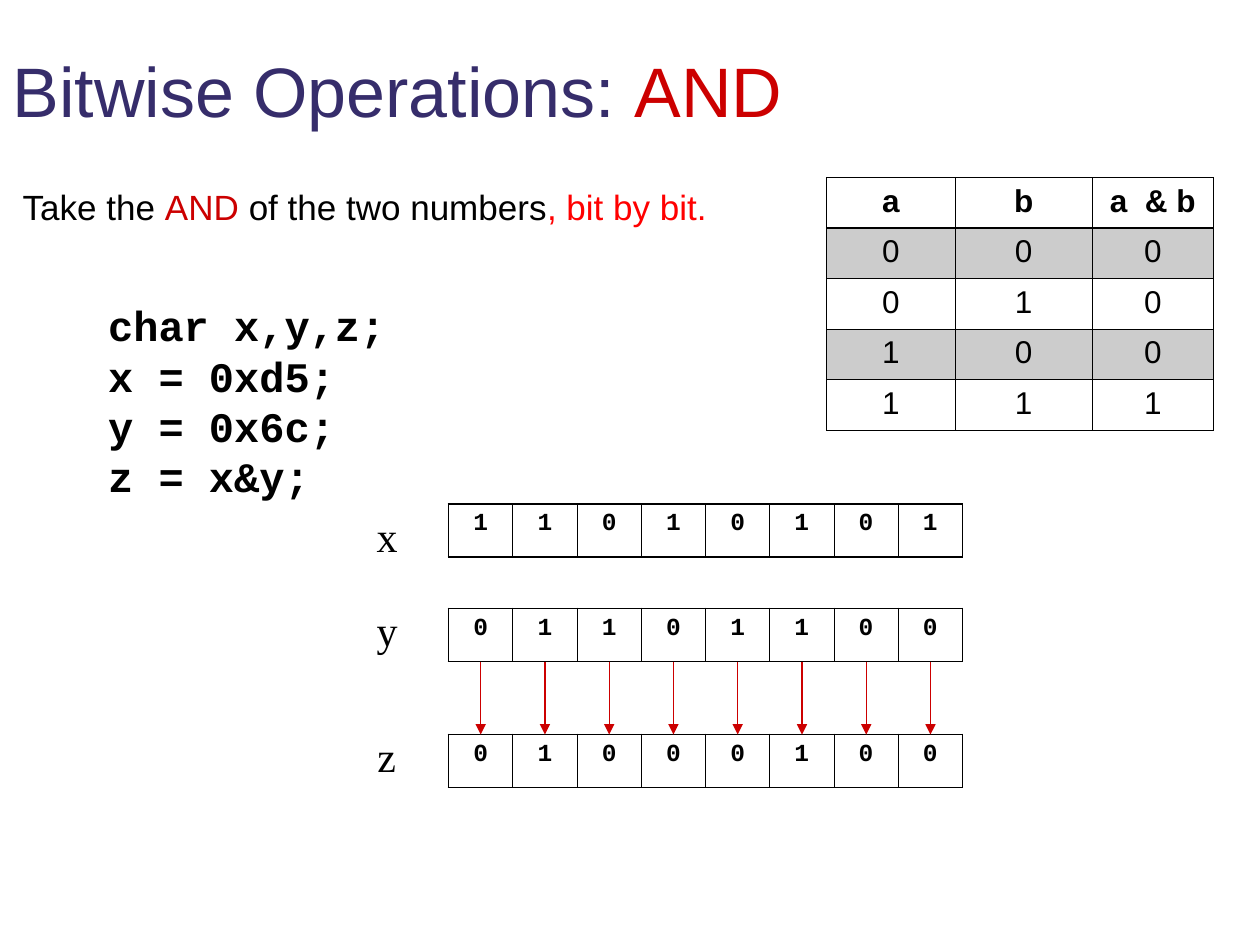
import pptx
import pptx.util
import pptx.dml.color
import pptx.enum.text
import pptx.enum.shapes
import pptx.oxml.ns
import lxml.etree

Inches = pptx.util.Inches
Pt = pptx.util.Pt
ALIGN = pptx.enum.text.PP_ALIGN
ANCHOR = pptx.enum.text.MSO_ANCHOR
INK, RED = "000000", "CC0000"
X, Y = 0xD5, 0x6C
BITS_LEFT, BIT_WIDTH, BIT_HEIGHT = 3.56, 0.51, 0.42


def rgb(value):
    return pptx.dml.color.RGBColor.from_string(value)


def child(parent, tag, **attributes):
    return lxml.etree.SubElement(parent, pptx.oxml.ns.qn(tag), attributes)


def write(paragraph, text, size, font="Arial", color=INK, bold=False,
          align=ALIGN.LEFT, before=0, line=None):
    paragraph.alignment = align
    paragraph.space_before = Pt(before)
    if line:
        paragraph.line_spacing = Pt(line)
    run = paragraph.add_run()
    run.text = text
    run.font.size = Pt(size)
    run.font.name = font
    run.font.bold = bold
    run.font.color.rgb = rgb(color)


def place(holder, left, top, width, height, anchor):
    holder.left, holder.top = Inches(left), Inches(top)
    holder.width, holder.height = Inches(width), Inches(height)
    frame = holder.text_frame
    frame.auto_size = pptx.enum.text.MSO_AUTO_SIZE.NONE
    frame.vertical_anchor = anchor
    return frame.paragraphs[0]


def add_text(slide, lines, left, top, width, height, **style):
    frame = slide.shapes.add_textbox(
        Inches(left), Inches(top), Inches(width), Inches(height)).text_frame
    frame.word_wrap = False
    for index, text in enumerate(lines):
        paragraph = frame.add_paragraph() if index else frame.paragraphs[0]
        write(paragraph, text, 24, line=28.8, **style)


def set_borders(cell, widths):
    properties = cell._tc.get_or_add_tcPr()
    for index, (side, width) in enumerate(zip("LRTB", widths)):
        border = child(properties, "a:ln" + side, w=str(Pt(width)))
        child(child(border, "a:solidFill"), "a:srgbClr", val=INK)
        properties.insert(index, border)


def add_grid(slide, rows, left, top, widths, height, style, fill, borders):
    table = slide.shapes.add_table(
        len(rows), len(widths), Inches(left), Inches(top),
        Inches(sum(widths)), Inches(height * len(rows))).table
    for column, width in zip(table.columns, widths):
        column.width = Inches(width)
    for r, values in enumerate(rows):
        table.rows[r].height = Inches(height)
        for c, value in enumerate(values):
            cell = table.cell(r, c)
            cell.fill.solid()
            cell.fill.fore_color.rgb = rgb(fill(r))
            write(cell.text_frame.paragraphs[0], value, align=ALIGN.CENTER, **style(r))
            set_borders(cell, borders(r, c))


def add_bits(slide, name, number, top, label_top):
    add_text(slide, [name], 2.89, label_top, 0.36, 0.5,
             font="Times New Roman", align=ALIGN.CENTER)
    add_grid(slide, [f"{number:08b}"], BITS_LEFT, top, [BIT_WIDTH] * 8, BIT_HEIGHT,
             style=lambda r: dict(size=14, font="Courier New", bold=True, before=3.5),
             fill=lambda r: "FFFFFF",
             borders=lambda r, c: (1.08 if c == 0 else 0.45,
                                   1.08 if c == 7 else 0.45, 1.08, 1.08))


def add_truth_table(slide):
    rows = [("a", "b", "a  & b")]
    rows += [(str(a), str(b), str(a & b)) for a in (0, 1) for b in (0, 1)]
    add_grid(slide, rows, 6.56, 1.41, [1.02, 1.09, 0.96], 0.4,
             style=lambda r: dict(size=18, bold=r == 0),
             fill=lambda r: "CCCCCC" if r % 2 else "FFFFFF",
             borders=lambda r, c: (0.45, 0.45, 0.96 if r == 1 else 0.45,
                                   0.96 if r == 0 else 0.45))


def add_arrow(slide, x, top, bottom):
    arrow = slide.shapes.add_connector(
        pptx.enum.shapes.MSO_CONNECTOR.STRAIGHT,
        Inches(x), Inches(top), Inches(x), Inches(bottom))
    arrow.line.color.rgb = rgb(RED)
    arrow.line.width = Pt(0.74)
    child(arrow.line._get_or_add_ln(), "a:tailEnd", type="triangle")
    child(arrow._element.spPr, "a:effectLst")


def main():
    deck = pptx.Presentation()
    deck.slide_width, deck.slide_height = Inches(10), Inches(7.5)
    slide = deck.slides.add_slide(deck.slide_layouts[1])

    heading = place(slide.shapes.title, 0, 0.17, 10, 1.08, ANCHOR.MIDDLE)
    write(heading, "Bitwise Operations: ", 40, color="362D6B")
    write(heading, "AND", 40, color=RED)

    rule = place(slide.placeholders[1], 0.08, 1.42, 9.67, 5.42, ANCHOR.TOP)
    for text, color in (("Take the ", INK), ("AND", RED),
                        (" of the two numbers", INK), (", bit by bit.", "FF0000")):
        write(rule, text, 20, color=color, before=5)
    indents = rule._p.get_or_add_pPr()
    indents.set("marL", str(Inches(0.38)))
    indents.set("indent", str(Inches(-0.38)))
    child(indents, "a:buNone")

    add_text(slide, ["char x,y,z;", "x = 0xd5;", "y = 0x6c;", "z = x&y;"],
             0.76, 2.33, 2.4, 1.7, font="Courier New", bold=True)
    add_bits(slide, "x", X, 4, 4)
    add_bits(slide, "y", Y, 4.83, 4.75)
    add_bits(slide, "z", X & Y, 5.83, 5.75)
    for bit in range(8):
        add_arrow(slide, BITS_LEFT + BIT_WIDTH * (bit + 0.5), 4.83 + BIT_HEIGHT, 5.83)
    add_truth_table(slide)
    deck.save("out.pptx")


main()
